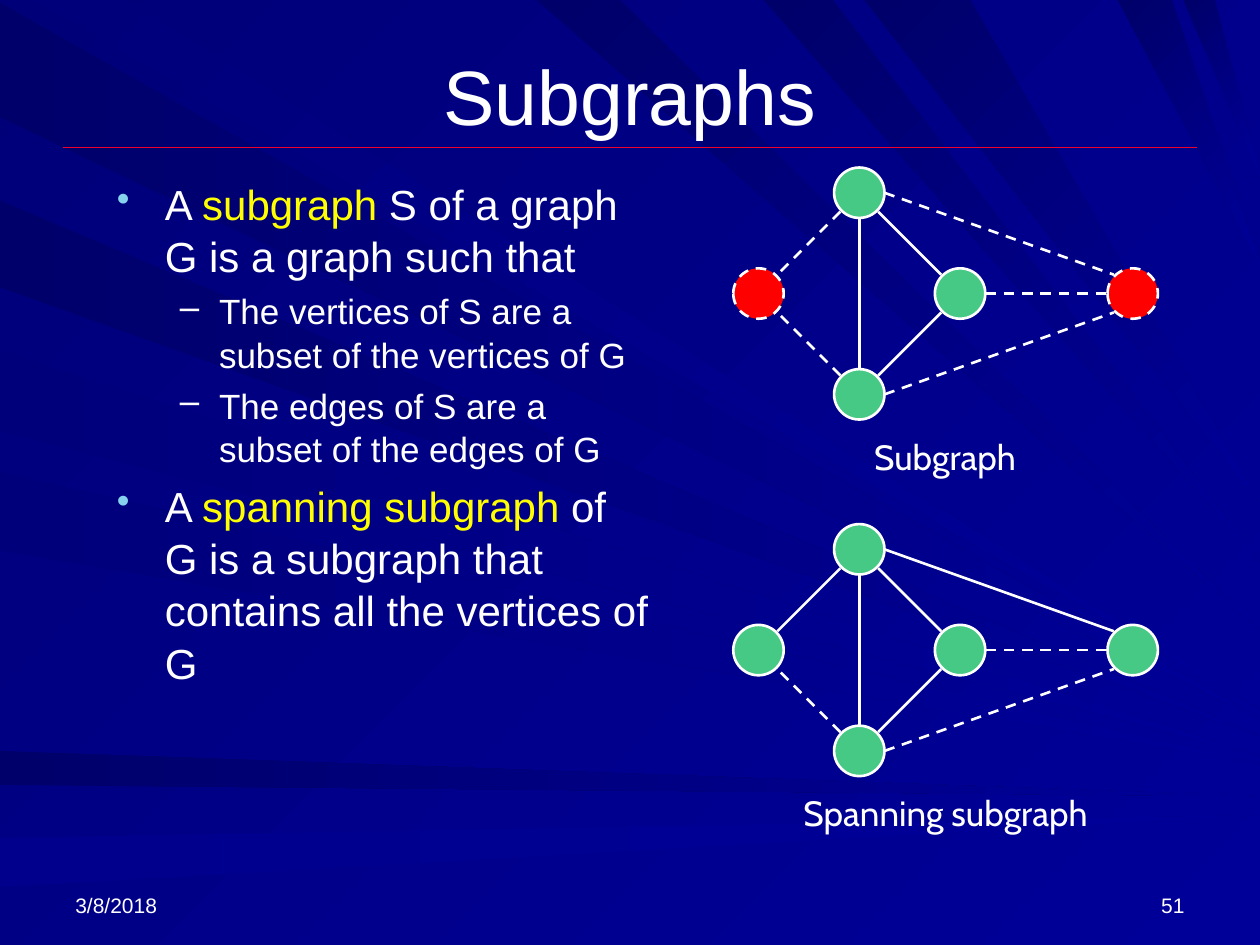
from lxml.etree import SubElement as Sub
from pptx import Presentation
from pptx.dml.color import RGBColor as RGB
from pptx.enum.dml import MSO_LINE as Dash
from pptx.enum.shapes import MSO_CONNECTOR as Conn, MSO_SHAPE as Kind
from pptx.enum.text import MSO_ANCHOR as Anchor, PP_ALIGN as Align
from pptx.oxml.ns import qn
from pptx.util import Pt

PX = 9144  # EMU per px, 100 px to the inch
WIDE, HIGH = 1000, 750

COL = {
    "white": "FFFFFF", "yellow": "FFFF00", "red": "FF0000", "green": "45C984",
    "rule": "EF0129", "bullet": "86D1EC", "night": "000078", "blue": "000099",
    "deep": "00006B", "dim": "00007B", "soft": "00008C",
}

# Rays: colour, start and end on the left or top edge, height at the right edge
LEFT = [("deep", 2, 93, 570), ("deep", 159, 228, 584), ("dim", 278, 342, 600),
        ("dim", 374, 437, 606), ("deep", 596, 623, 632), ("soft", 665, 704, 647)]
TOP = [("dim", 26, 101, 563), ("deep", 426, 492, 500), ("deep", 606, 661, 446),
       ("deep", 686, 770, 400), ("deep", 887, 930, 210), ("deep", 939, 964, 140)]

# Graph: node centres, and edges as node and side at both ends
NODE, STEP = 40, 80
MIDX, MIDY, FAR = 682, 233, 899
NODES = {"top": (MIDX, MIDY - STEP), "left": (MIDX - STEP, MIDY),
         "mid": (MIDX + STEP, MIDY), "right": (FAR, MIDY),
         "low": (MIDX, MIDY + STEP)}
EDGES = ["top SW left NE", "low NW left SE", "low NE mid SW", "top SE mid NW",
         "top S low N", "mid E right W", "low E right SW", "top E right NW"]

BODY = [
    (0, [("A ", ""), ("subgraph", "yellow"), (" S of a graph G is a graph such that", "")]),
    (1, [("The vertices of S are a subset of the vertices of G", "")]),
    (1, [("The edges of S are a subset of the edges of G", "")]),
    (0, [("A ", ""), ("spanning subgraph", "yellow"),
         (" of G is a subgraph that contains all the vertices of G", "")]),
]
# Per level: size, left margin, hanging indent, bullet sign
LEVELS = [(24, 38, 38, "•"), (20, 81, 31, "–")]


def rgb(name):
    return RGB.from_string(COL[name])


def shade(fill, first, last, turn):
    fill.gradient()
    fill.gradient_angle = (360 - turn) % 360
    for stop, name in zip(fill.gradient_stops, (first, last)):
        stop.color.rgb = rgb(name)


def ray(slide, name, turn, pts):
    pen = slide.shapes.build_freeform(*pts[0], scale=PX)
    pen.add_line_segments(pts[1:], close=True)
    shape = pen.convert_to_shape()
    shape.shadow.inherit = False
    shape.line.fill.background()
    shade(shape.fill, name, "blue", turn)


def stroke(line, name, size, dash=False):
    line.color.rgb = rgb(name)
    line.width = Pt(size)
    if dash:
        line.dash_style = Dash.DASH


def link(slide, ends, name="white", size=1.5, dash=False):
    edge = slide.shapes.add_connector(Conn.STRAIGHT, *(v * PX for v in ends))
    stroke(edge.line, name, size, dash)
    Sub(edge._element.spPr, qn("a:effectLst"))


def node(slide, x, y, lost):
    box = (x - NODE // 2, y - NODE // 2, NODE, NODE)
    dot = slide.shapes.add_shape(Kind.OVAL, *(v * PX for v in box))
    dot.shadow.inherit = False
    dot.fill.solid()
    dot.fill.fore_color.rgb = rgb("red" if lost else "green")
    stroke(dot.line, "white", 1.5, lost)


def site(name, side):
    """Point on the rim of a node, on the named compass side."""
    x, y = NODES[name]
    reach = 20 if len(side) == 1 else 15
    return (x + reach * (("E" in side) - ("W" in side)),
            y + reach * (("S" in side) - ("N" in side)))


def graph(slide, drop, lost, dashed):
    for name, (x, y) in NODES.items():
        node(slide, x, y + drop, name in lost)
    for edge in EDGES:
        a, exit, b, entry = edge.split()
        (x1, y1), (x2, y2) = site(a, exit), site(b, entry)
        link(slide, (x1, y1 + drop, x2, y2 + drop), dash=(a, b) in dashed)


def frame(slide, box, anchor=Anchor.TOP):
    text = slide.shapes.add_textbox(*(v * PX for v in box)).text_frame
    text.word_wrap = True
    text.vertical_anchor = anchor
    return text


def style(para, size, face="Arial"):
    para.font.size = Pt(size)
    para.font.name = face
    para.font.color.rgb = rgb("white")


def label(slide, box, words, size, align, anchor=Anchor.TOP, face="Arial"):
    para = frame(slide, box, anchor).paragraphs[0]
    para.text = words
    para.alignment = align
    style(para, size, face)


def bullet(para, level):
    size, left, hang, sign = LEVELS[level]
    props = para._p.get_or_add_pPr()
    props.set("marL", str(left * PX))
    props.set("indent", str(-hang * PX))
    if level == 0:
        tint = Sub(props, qn("a:buClr"))
        Sub(tint, qn("a:srgbClr"), val=COL["bullet"])
        Sub(props, qn("a:buSzPct"), val="90000")
    Sub(props, qn("a:buChar"), char=sign)
    style(para, size)


def body(slide):
    text = frame(slide, (83, 135, 442, 525))
    for i, (level, runs) in enumerate(BODY):
        para = text.add_paragraph() if i else text.paragraphs[0]
        para.level = level
        bullet(para, level)
        para.line_spacing = 1.04
        if i:
            para.space_before = Pt(LEVELS[level][0] * 0.2)
        for words, tint in runs:
            run = para.add_run()
            run.text = words
            if tint:
                run.font.color.rgb = rgb(tint)


def main():
    deck = Presentation()
    deck.slide_width, deck.slide_height = WIDE * PX, HIGH * PX
    slide = deck.slides.add_slide(deck.slide_layouts[6])

    # Background
    shade(slide.background.fill, "night", "blue", 45)
    for name, a, b, end in LEFT:
        ray(slide, name, 0, [(0, a), (0, b), (WIDE, end)])
    for name, a, b, end in TOP:
        ray(slide, name, 45, [(a, 0), (b, 0), (WIDE, end)])
    link(slide, (50, 117, 950, 117), "rule", 0.75)

    # Title, footer and text
    label(slide, (50, 30, 900, 90), "Subgraphs", 44, Align.CENTER, Anchor.MIDDLE)
    label(slide, (50, 683, 233, 50), "3/8/2018", 12, Align.LEFT, Anchor.BOTTOM)
    label(slide, (717, 683, 233, 50), "51", 12, Align.RIGHT, Anchor.BOTTOM)
    body(slide)

    # Graphs with captions
    rest = {("low", "left"), ("mid", "right"), ("low", "right")}
    graph(slide, 0, {"left", "right"}, rest | {("top", "left"), ("top", "right")})
    label(slide, (594, 341, 312, 43), "Subgraph", 20, Align.CENTER, face="Cabin")
    graph(slide, 283, set(), rest)
    label(slide, (551, 623, 399, 43), "Spanning subgraph", 20, Align.CENTER, face="Cabin")

    deck.save("out.pptx")


if __name__ == "__main__":
    main()
